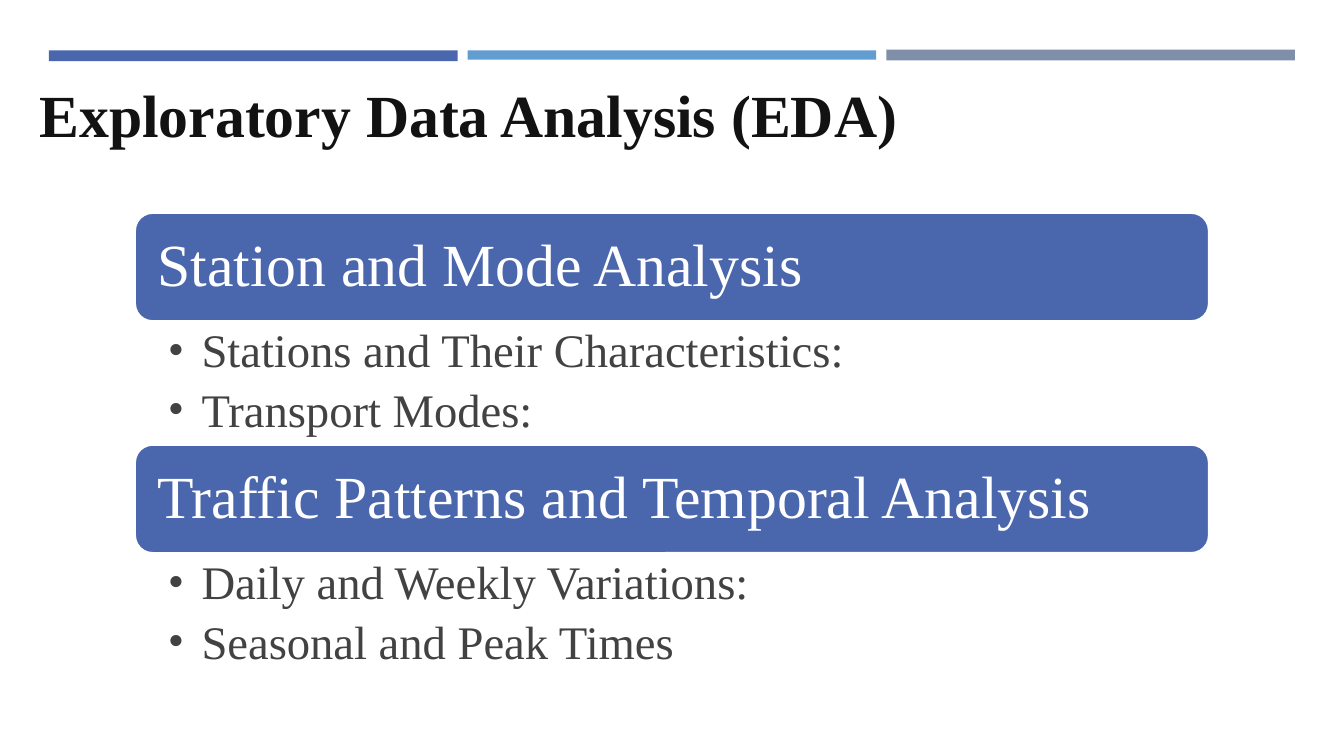
from dataclasses import dataclass

from lxml import etree
from pptx import Presentation
from pptx.dml.color import RGBColor
from pptx.enum import shapes, text
from pptx.oxml import ns
from pptx.slide import Slide
from pptx.util import Emu, Inches, Pt

FONT = "Times New Roman"
ROYAL = RGBColor(0x4A, 0x66, 0xAC)
SKY = RGBColor(0x62, 0x9D, 0xD1)
SLATE = RGBColor(0x7F, 0x8F, 0xA9)
INK = RGBColor(0x12, 0x12, 0x12)
CHARCOAL = RGBColor(0x42, 0x42, 0x42)
WHITE = RGBColor(0xFF, 0xFF, 0xFF)

SLIDE_WIDTH = Inches(10)
SLIDE_HEIGHT = Emu(SLIDE_WIDTH * 9 // 16)
COLUMN = SLIDE_WIDTH / 100
ROW = SLIDE_HEIGHT / 56.25

STRIPE_LEFT, STRIPE_PITCH, STRIPE_WIDTH = 3.65, 31.15, 30.4
TOPIC_LEFT, TOPIC_WIDTH, TOPIC_TOP = 10, 80, 15.8
BANNER_ROWS, POINT_ROWS = 8.15, 9.1
LABEL_MARGIN = 0.4


@dataclass(frozen=True)
class Area:
    column: float
    row: float
    columns: float
    rows: float

    def box(self) -> tuple[Emu, Emu, Emu, Emu]:
        return (Emu(round(self.column * COLUMN)), Emu(round(self.row * ROW)),
                Emu(round(self.columns * COLUMN)), Emu(round(self.rows * ROW)))

    def shrink(self, margin: float) -> "Area":
        return Area(self.column + margin, self.row + margin,
                    self.columns - 2 * margin, self.rows - 2 * margin)


@dataclass(frozen=True)
class Stripe:
    color: RGBColor
    row: float
    rows: float


@dataclass(frozen=True)
class Topic:
    heading: str
    points: tuple[str, ...]


STRIPES = (Stripe(ROYAL, 3.75, 0.8), Stripe(SKY, 3.75, 0.7), Stripe(SLATE, 3.7, 0.8))
TOPICS = (
    Topic("Station and Mode Analysis",
          ("Stations and Their Characteristics:", "Transport Modes:")),
    Topic("Traffic Patterns and Temporal Analysis",
          ("Daily and Weekly Variations:", "Seasonal and Peak Times")),
)


def style(paragraph, size: float, color: RGBColor, bold: bool = False) -> None:
    paragraph.alignment = text.PP_ALIGN.LEFT
    for run in paragraph.runs:
        run.font.name = FONT
        run.font.size = Pt(size)
        run.font.bold = bold
        run.font.color.rgb = color


def add_words(slide: Slide, wording: str, area: Area, side: float, edge: float):
    frame = slide.shapes.add_textbox(*area.box()).text_frame
    frame.word_wrap = True
    frame.margin_left = frame.margin_right = Inches(side)
    frame.margin_top = frame.margin_bottom = Inches(edge)
    frame.text = wording
    return frame


def add_block(slide: Slide, kind: shapes.MSO_SHAPE, area: Area, color: RGBColor):
    block = slide.shapes.add_shape(kind, *area.box())
    block.shadow.inherit = False
    block.fill.solid()
    block.fill.fore_color.rgb = color
    block.line.fill.background()
    return block


def add_title(slide: Slide, wording: str) -> None:
    title = add_words(slide, wording, Area(1.95, 5.3, 80, 6.4), 0.1, 0.05)
    style(title.paragraphs[0], 32, INK, bold=True)


def add_banner(slide: Slide, heading: str, area: Area) -> None:
    banner = add_block(slide, shapes.MSO_SHAPE.ROUNDED_RECTANGLE, area, ROYAL)
    banner.line.color.rgb = WHITE
    banner.line.width = Pt(1.75)
    label = add_words(slide, heading, area.shrink(LABEL_MARGIN), 0.13, 0.13)
    label.vertical_anchor = text.MSO_ANCHOR.MIDDLE
    label.paragraphs[0].line_spacing = 0.9
    style(label.paragraphs[0], 32, WHITE)


def add_points(slide: Slide, points: tuple[str, ...], area: Area) -> None:
    listing = add_words(slide, "\n".join(points), area, 0.25, 0.04)
    for point in listing.paragraphs:
        properties = point._p.get_or_add_pPr()
        properties.set("lvl", "1")
        properties.set("marL", str(Inches(0.25)))
        properties.set("indent", str(-Inches(0.25)))
        etree.SubElement(properties, ns.qn("a:buFont")).set("typeface", FONT)
        etree.SubElement(properties, ns.qn("a:buChar")).set("char", "•")
        point.line_spacing = 0.9
        point.space_after = Pt(5)
        style(point, 25, CHARCOAL)


def main() -> None:
    deck = Presentation()
    deck.slide_width, deck.slide_height = SLIDE_WIDTH, SLIDE_HEIGHT
    slide = deck.slides.add_slide(deck.slide_layouts[6])
    for index, stripe in enumerate(STRIPES):
        area = Area(STRIPE_LEFT + index * STRIPE_PITCH, stripe.row, STRIPE_WIDTH, stripe.rows)
        add_block(slide, shapes.MSO_SHAPE.RECTANGLE, area, stripe.color)
    add_title(slide, "Exploratory Data Analysis (EDA)")
    for index, topic in enumerate(TOPICS):
        top = TOPIC_TOP + index * (BANNER_ROWS + POINT_ROWS)
        add_banner(slide, topic.heading, Area(TOPIC_LEFT, top, TOPIC_WIDTH, BANNER_ROWS))
        add_points(slide, topic.points,
                   Area(TOPIC_LEFT, top + BANNER_ROWS, TOPIC_WIDTH, POINT_ROWS))
    deck.save("out.pptx")


if __name__ == "__main__":
    main()
